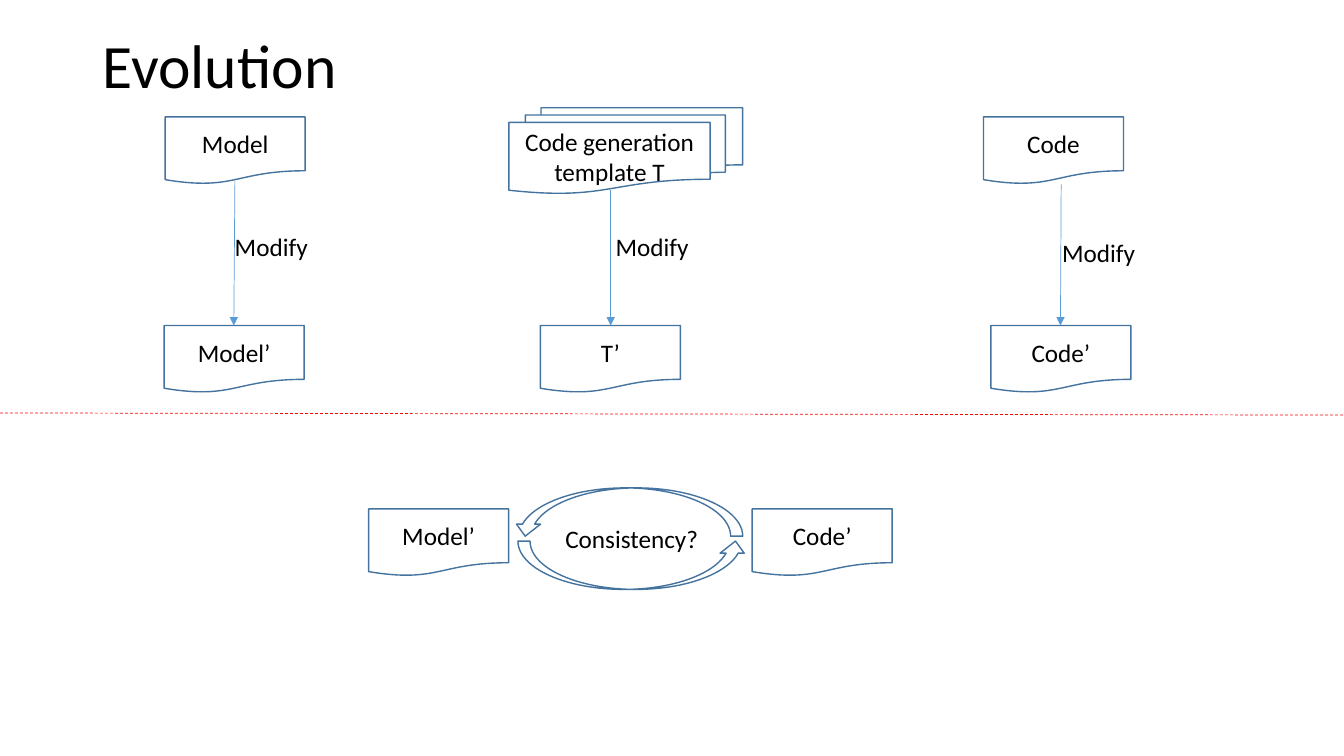
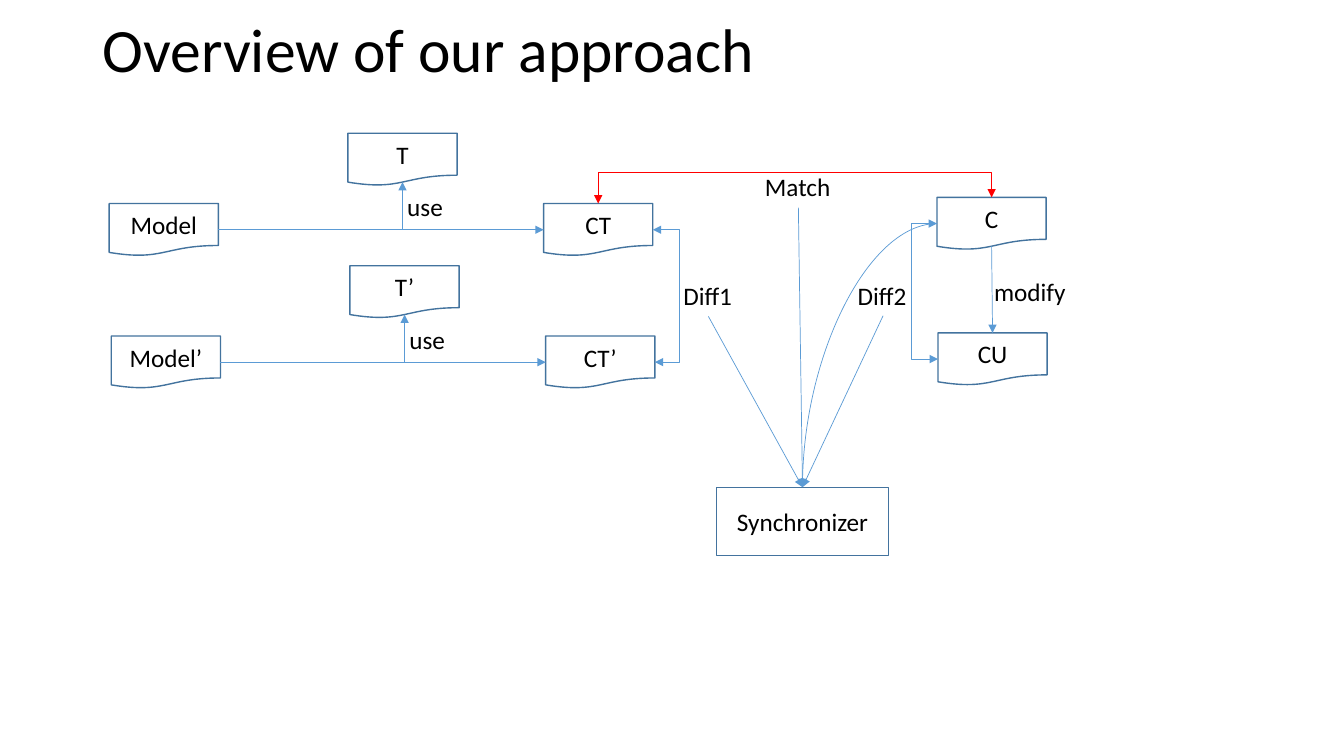
"""Build two slides on model and code evolution and the synchronization approach."""
from dataclasses import dataclass

from pptx import Presentation
from pptx.dml.color import RGBColor
from pptx.enum.dml import MSO_LINE
from pptx.enum.shapes import MSO_CONNECTOR, MSO_SHAPE
from pptx.enum.text import MSO_ANCHOR, MSO_AUTO_SIZE, PP_ALIGN
from pptx.oxml.xmlchemy import OxmlElement
from pptx.util import Pt

DOC, MULTI, RECT = MSO_SHAPE.FLOWCHART_DOCUMENT, MSO_SHAPE.FLOWCHART_MULTIDOCUMENT, MSO_SHAPE.RECTANGLE
CURVED_ARROW = MSO_SHAPE.CURVED_UP_ARROW
STRAIGHT, ELBOW, CURVE = MSO_CONNECTOR.STRAIGHT, MSO_CONNECTOR.ELBOW, MSO_CONNECTOR.CURVE
LEFT, CENTER = PP_ALIGN.LEFT, PP_ALIGN.CENTER
TOP, MIDDLE = MSO_ANCHOR.TOP, MSO_ANCHOR.MIDDLE
DASH = MSO_LINE.DASH
NO_FIT, GROW = MSO_AUTO_SIZE.NONE, MSO_AUTO_SIZE.SHAPE_TO_FIT_TEXT


@dataclass(frozen=True)
class Theme:
    font: str = "Calibri"
    title_size: float = 44
    body_size: float = 18
    text: RGBColor = RGBColor(0, 0, 0)
    outline: RGBColor = RGBColor(0x43, 0x73, 0x9E)
    arrow: RGBColor = RGBColor(0x5B, 0x9B, 0xD5)
    accent: RGBColor = RGBColor(0xFF, 0, 0)
    outline_width: float = 1
    arrow_width: float = 0.5


T = Theme()
SLIDE_W, SLIDE_H = 960, 540
TITLE_X, TITLE_W, TITLE_H = 66, 828, 75
LABEL_H = 29
CURVE_DEPTH = 0.934

BIG_DOC = (100, 48)
SMALL_DOC = (78, 37.4)

EVOLUTION_TITLE = ("Evolution", 11.5)
EVOLUTION_BOXES = [
    ("Model", DOC, (118, 83.5, *BIG_DOC)),
    ("Code", DOC, (702.5, 83.5, *BIG_DOC)),
    ("Code generation template T", MULTI, (363.5, 77, 167, 61.2)),
    ("Model’", DOC, (117.3, 232.5, *BIG_DOC)),
    ("T’", DOC, (386, 232.5, *BIG_DOC)),
    ("Code’", DOC, (707.8, 232.5, *BIG_DOC)),
    ("Model’", DOC, (263.3, 363.5, *BIG_DOC)),
    ("Code’", DOC, (537.3, 363.5, *BIG_DOC)),
]
MODIFY_ARROWS = [((167.8, 129), (167, 232.5)),
                 ((436.2, 136), (436.2, 232.5)),
                 ((758, 131.8), (757.5, 232.5))]
EVOLUTION_LABELS = [("Modify", 160.6, 162, 67), ("Modify", 432.6, 162, 67),
                    ("Modify", 751.6, 166, 67), ("Consistency?", 396.7, 370, 110)]
DIVIDER = ((0, 295), (SLIDE_W, 296.5))
CYCLE = [((370, 386.5, 164, 34.5), 0), ((366.5, 348.5, 164, 34.5), 180)]

APPROACH_TITLE = ("Overview of our approach", 0)
GENERATION_ROWS = [(("Model", "T", "CT"), 78, 145.4),
                   (("Model’", "T’", "CT’"), 79.5, 240)]
TEMPLATE_DX, TEMPLATE_DY, RESULT_DX = 170.5, -50.2, 310.3
USE_DX, USE_DY = 35.3, 38
CODE_BOXES = [("C", (669.3, 141, *SMALL_DOC)), ("CU", (670, 237.8, *SMALL_DOC))]
SYNCHRONIZER = ("Synchronizer", RECT, (512, 348, 122.5, 49))
APPROACH_LABELS = [("modify", 703, 194, 66), ("Diff1", 481, 196.5, 50.5),
                   ("Diff2", 605.5, 196.5, 50.5), ("Match", 539.3, 118.7, 62)]
SYNC_SOURCES = [(506, 226), (570.3, 148.3), (630.8, 225.5)]
DIFF1_X, DIFF2_X, MATCH_Y = 485.3, 651.3, 123


def write(tf, text, size=T.body_size, align=LEFT, anchor=TOP, spacing=None,
          wrap=True, fit=NO_FIT):
    tf.word_wrap, tf.auto_size, tf.vertical_anchor = wrap, fit, anchor
    p = tf.paragraphs[0]
    p.alignment = align
    if spacing:
        p.line_spacing = spacing
    r = p.add_run()
    r.text = text
    r.font.name, r.font.size, r.font.color.rgb = T.font, Pt(size), T.text


def add_slide(prs, title, y):
    s = prs.slides.add_slide(prs.slide_layouts[5])
    sp = s.shapes.title
    sp.left, sp.top, sp.width, sp.height = map(Pt, (TITLE_X, y, TITLE_W, TITLE_H))
    write(sp.text_frame, title, size=T.title_size, anchor=MIDDLE, spacing=0.9)
    return s


def add_box(s, text, kind, frame, rotation=0):
    sp = s.shapes.add_shape(kind, *map(Pt, frame))
    sp.shadow.inherit = False
    sp.rotation = rotation
    sp.fill.background()
    sp.line.color.rgb, sp.line.width = T.outline, Pt(T.outline_width)
    if text:
        write(sp.text_frame, text, align=CENTER, anchor=MIDDLE)


def add_label(s, text, x, y, w):
    sp = s.shapes.add_textbox(*map(Pt, (x, y, w, LABEL_H)))
    write(sp.text_frame, text, wrap=False, fit=GROW)


def add_line(s, start, end, kind=STRAIGHT, color=T.arrow, ends=("tailEnd",), dash=None):
    c = s.shapes.add_connector(kind, *map(Pt, (*start, *end)))
    c.line.color.rgb, c.line.width = color, Pt(T.arrow_width)
    if dash:
        c.line.dash_style = dash
    ln = c.line._get_or_add_ln()
    for tag in ends:
        tip = OxmlElement(f"a:{tag}")
        tip.set("type", "triangle")
        ln.append(tip)
    c._element.spPr.append(OxmlElement("a:effectLst"))
    return c


def add_bracket(s, start, end, via, vertical=False, color=T.arrow):
    (x1, y1), (x2, y2) = start, end
    begin, finish = start, end
    bend = (via - y1) / (y2 - y1) if vertical else (via - x1) / (x2 - x1)
    if vertical:
        cx, cy = (x1 + x2) / 2, (y1 + y2) / 2
        dx, dy = abs(y2 - y1) / 2, abs(x2 - x1) / 2
        begin, finish = (cx + dx, cy + dy), (cx - dx, cy - dy)
    c = add_line(s, begin, finish, ELBOW, color, ("headEnd", "tailEnd"))
    spPr = c._element.spPr
    if vertical:
        spPr.xfrm.set("rot", "5400000")
    gd = OxmlElement("a:gd")
    gd.set("name", "adj1")
    gd.set("fmla", f"val {round(bend * 100000)}")
    spPr.prstGeom.get_or_add_avLst().append(gd)


def sides(frame):
    x, y, w, h = frame
    return {"left": (x, y + h / 2), "right": (x + w, y + h / 2),
            "top": (x + w / 2, y), "bottom": (x + w / 2, y + h * CURVE_DEPTH)}


def build_evolution(prs):
    s = add_slide(prs, *EVOLUTION_TITLE)
    for box in EVOLUTION_BOXES:
        add_box(s, *box)
    for start, end in MODIFY_ARROWS:
        add_line(s, start, end)
    add_line(s, *DIVIDER, color=T.accent, ends=(), dash=DASH)
    for frame, rotation in CYCLE:
        add_box(s, "", CURVED_ARROW, frame, rotation)
    for label in EVOLUTION_LABELS:
        add_label(s, *label)


def build_approach(prs):
    s = add_slide(prs, *APPROACH_TITLE)
    at = {}
    for names, x, y in GENERATION_ROWS:
        spots = [(x, y), (x + TEMPLATE_DX, y + TEMPLATE_DY), (x + RESULT_DX, y)]
        for name, spot in zip(names, spots):
            add_box(s, name, DOC, (*spot, *SMALL_DOC))
            at[name] = sides((*spot, *SMALL_DOC))
        model, template, result = (at[name] for name in names)
        add_line(s, model["right"], result["left"])
        add_line(s, (template["bottom"][0], model["right"][1]), template["bottom"])
        add_label(s, "use", spots[1][0] + USE_DX, spots[1][1] + USE_DY, 40.5)
    for name, frame in CODE_BOXES:
        add_box(s, name, DOC, frame)
        at[name] = sides(frame)
    add_box(s, *SYNCHRONIZER)
    sync_top = sides(SYNCHRONIZER[2])["top"]

    add_line(s, at["C"]["bottom"], at["CU"]["top"])
    add_bracket(s, at["CT"]["right"], at["CT’"]["right"], DIFF1_X)
    add_bracket(s, at["C"]["left"], at["CU"]["left"], DIFF2_X)
    add_bracket(s, at["CT"]["top"], at["C"]["top"], MATCH_Y, vertical=True, color=T.accent)
    curve = add_line(s, at["C"]["left"], sync_top, CURVE)
    curve._element.spPr.prstGeom.set("prst", "curvedConnector2")
    for start in SYNC_SOURCES:
        add_line(s, start, sync_top)
    for label in APPROACH_LABELS:
        add_label(s, *label)


def main():
    prs = Presentation()
    prs.slide_width, prs.slide_height = Pt(SLIDE_W), Pt(SLIDE_H)
    build_evolution(prs)
    build_approach(prs)
    prs.save("out.pptx")


if __name__ == "__main__":
    main()
